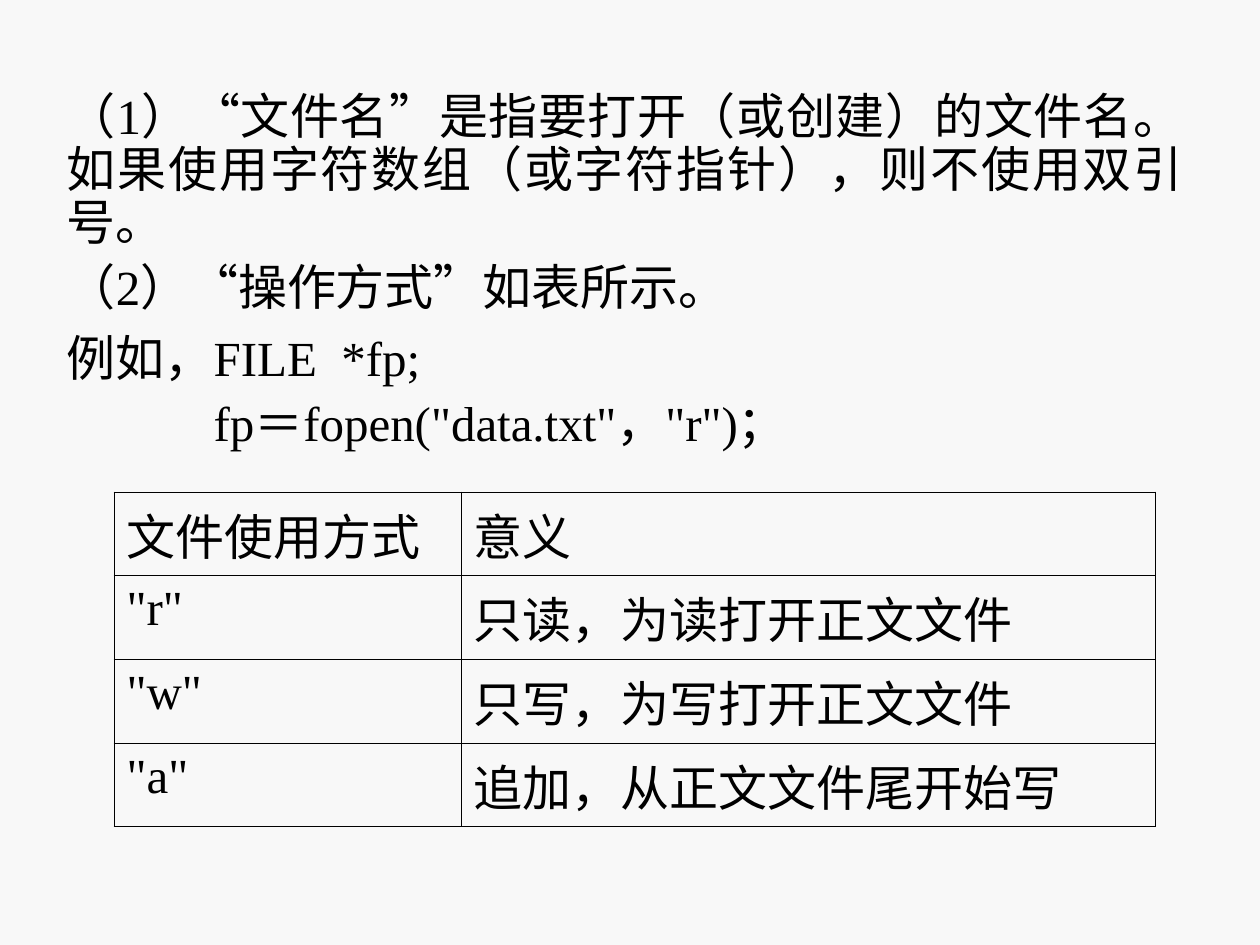
from lxml.etree import SubElement
from pptx import Presentation
from pptx.dml.color import RGBColor
from pptx.enum.lang import MSO_LANGUAGE_ID as Language
from pptx.enum.text import PP_ALIGN as Align
from pptx.oxml.ns import qn
from pptx.util import Cm, Pt

COLORS = {"background": "F8F8F8", "text": "000000", "border": "000000"}
FONT = "Times New Roman"

NOTES = [
    ("（1）“文件名”是指要打开（或创建）的文件名。如果使用字符数组（或字符指针），则不使用双引号。",
     {"align": Align.JUSTIFY}),
    ("（2）“操作方式”如表所示。", {"align": Align.JUSTIFY, "before": 7}),
    ("例如，FILE  *fp;", {"before": 10.5}),
    ('            fp＝fopen("data.txt"，"r")；', {"align": Align.JUSTIFY, "before": 7}),
]

MODES = [
    ("文件使用方式", "意义"),
    ('"r"', "只读，为读打开正文文件"),
    ('"w"', "只写，为写打开正文文件"),
    ('"a"', "追加，从正文文件尾开始写"),
]


def write(paragraph, text, size=28, align=Align.LEFT, before=0, line=1.0):
    paragraph.alignment = align
    paragraph.space_before = Pt(before)
    paragraph.line_spacing = line
    paragraph._p.get_or_add_pPr().set("hangingPunct", "0")
    run = paragraph.add_run()
    run.text = text
    run.font.size = Pt(size)
    run.font.name = FONT
    run.font.language_id = Language.SIMPLIFIED_CHINESE
    run.font.color.rgb = RGBColor.from_string(COLORS["text"])


def add_borders(cell, width=0.45):
    properties = cell._tc.get_or_add_tcPr()
    for side in ("lnL", "lnR", "lnT", "lnB"):
        border = SubElement(properties, qn(f"a:{side}"), w=str(Pt(width)))
        fill = SubElement(border, qn("a:solidFill"))
        SubElement(fill, qn("a:srgbClr"), val=COLORS["border"])


def add_notes(slide, left, top, width, height):
    frame = slide.shapes.add_textbox(left, top, width, height).text_frame
    frame.word_wrap = True
    for index, (text, style) in enumerate(NOTES):
        paragraph = frame.add_paragraph() if index else frame.paragraphs[0]
        write(paragraph, text, line=0.9, **style)


def add_mode_table(slide, left, top, width, height):
    modes = slide.shapes.add_table(len(MODES), 2, left, top, width, height).table
    modes.first_row = False
    modes.horz_banding = False
    modes.columns[0].width = width // 3
    modes.columns[1].width = width - width // 3
    for row, texts in enumerate(MODES):
        for column, text in enumerate(texts):
            cell = modes.cell(row, column)
            add_borders(cell)
            cell.fill.background()
            write(cell.text_frame.paragraphs[0], text)


def main():
    deck = Presentation()
    deck.slide_width, deck.slide_height = Cm(25.4), Cm(19.05)
    slide = deck.slides.add_slide(deck.slide_layouts[6])
    background = slide.background.fill
    background.solid()
    background.fore_color.rgb = RGBColor.from_string(COLORS["background"])
    add_notes(slide, Cm(1.1), Cm(1.73), Cm(23), Cm(11.43))
    add_mode_table(slide, Cm(2.3), Cm(9.92), Cm(21), Cm(6.75))
    deck.save("out.pptx")


if __name__ == "__main__":
    main()
